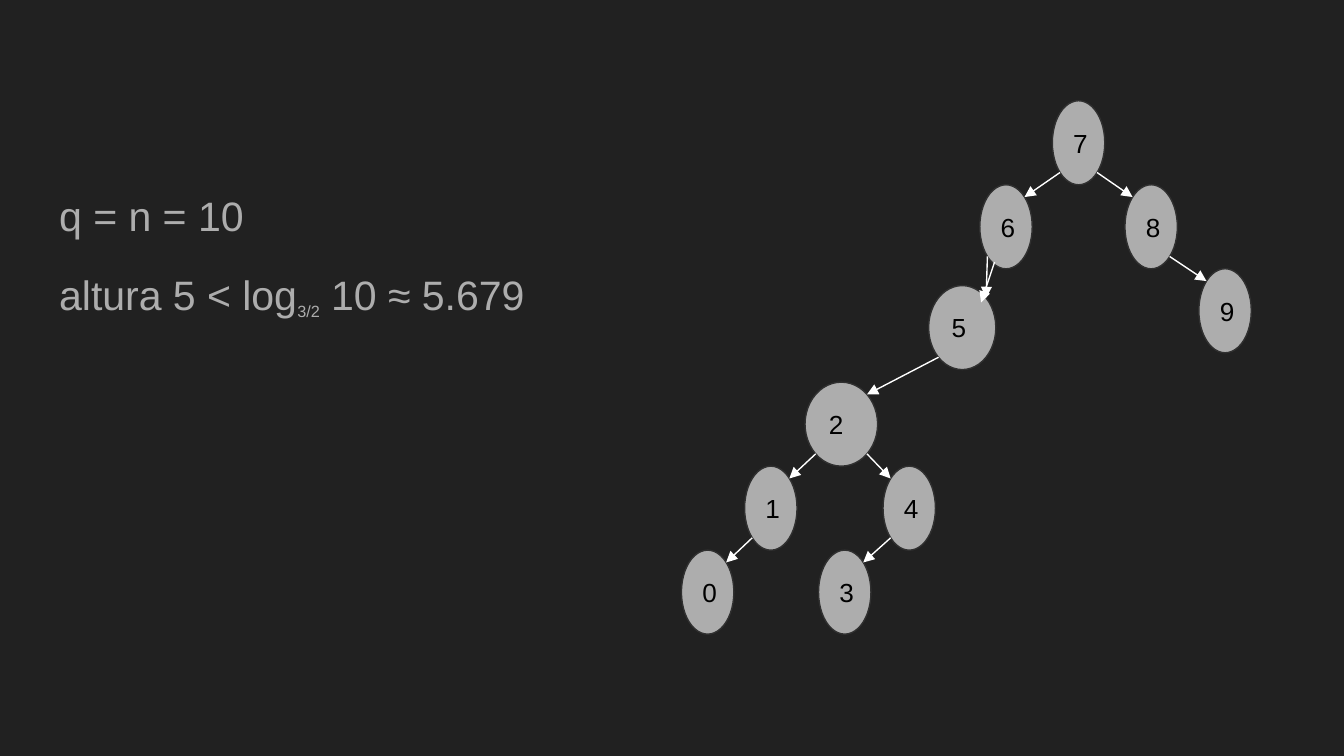
from dataclasses import dataclass

from pptx import Presentation
from pptx.dml.color import RGBColor
from pptx.enum.shapes import MSO_CONNECTOR, MSO_SHAPE
from pptx.enum.text import MSO_ANCHOR, MSO_AUTO_SIZE, PP_ALIGN
from pptx.oxml.ns import qn
from pptx.slide import Slide
from pptx.util import Inches, Pt

WIDTH = 10
HEIGHT = WIDTH * 9 / 16
ROW = HEIGHT / 9  # one tree level
TREE_TOP = 0.75
SITE = 0.5 ** 0.5 / 2  # diagonal point of an ellipse, as a share of its size
BACKGROUND, GREY, OUTLINE, WHITE, BLACK = "212121", "ADADAD", "303030", "FFFFFF", "000000"


@dataclass(frozen=True)
class Node:
    key: str
    left: float  # share of the slide width
    level: float  # rows below the root
    width: float = 0.039  # share of the slide width

    def corner(self, side: int, vertical: int) -> tuple[float, float]:
        """Diagonal point: side -1 left or 1 right, vertical -1 top or 1 bottom."""
        return (WIDTH * (self.left + self.width * (0.5 + side * SITE)),
                TREE_TOP + ROW * (self.level + 0.5 + vertical * SITE))


NODES = [
    Node("7", 0.783, 0), Node("6", 0.729, 1), Node("8", 0.837, 1),
    Node("9", 0.892, 2), Node("5", 0.691, 2.2, 0.05), Node("2", 0.599, 3.35, 0.054),
    Node("4", 0.657, 4.35), Node("1", 0.554, 4.35),
    Node("3", 0.609, 5.35), Node("0", 0.507, 5.35),
]
EDGES = ["76", "78", "89", "65", "52", "21", "24", "43", "10"]  # parent, child


def color(value: str) -> RGBColor:
    return RGBColor.from_string(value)


def apply(target, values: dict) -> None:
    for name, value in values.items():
        setattr(target, name, value)


def style(font, size: float, fill: str) -> None:
    apply(font, {"name": "Arial", "size": Pt(size)})
    font.color.rgb = color(fill)


def set_frame(frame, anchor: MSO_ANCHOR) -> None:
    inset = Inches(0.1)
    apply(frame, {"margin_left": inset, "margin_right": inset, "margin_top": inset,
                  "margin_bottom": inset, "word_wrap": True,
                  "auto_size": MSO_AUTO_SIZE.NONE, "vertical_anchor": anchor})


def draw_node(page: Slide, node: Node) -> None:
    shape = page.shapes.add_shape(
        MSO_SHAPE.OVAL, Inches(node.left * WIDTH), Inches(TREE_TOP + node.level * ROW),
        Inches(node.width * WIDTH), Inches(ROW))
    shape.shadow.inherit = False
    shape.fill.solid()
    shape.fill.fore_color.rgb = color(GREY)
    shape.line.color.rgb = color(OUTLINE)
    shape.line.width = Pt(0.75)
    set_frame(shape.text_frame, MSO_ANCHOR.MIDDLE)
    para = shape.text_frame.paragraphs[0]
    para.alignment = PP_ALIGN.LEFT
    span = para.add_run()
    span.text = node.key
    style(span.font, 14, BLACK)


def draw_arrow(page: Slide, start: tuple[float, float], end: tuple[float, float]) -> None:
    arrow = page.shapes.add_connector(
        MSO_CONNECTOR.STRAIGHT, *(Inches(value) for value in (*start, *end)))
    arrow.line.color.rgb = color(WHITE)
    arrow.line.width = Pt(0.75)
    line = arrow.line._get_or_add_ln()
    line.append(line.makeelement(qn("a:tailEnd"), {"type": "triangle"}))
    properties = arrow._element.spPr
    properties.append(properties.makeelement(qn("a:effectLst"), {}))


def write_body(page: Slide) -> None:
    body = page.placeholders[1]
    apply(body, {"left": Inches(0.34), "top": Inches(1.26),
                 "width": Inches(4.11), "height": Inches(3.74)})
    frame = body.text_frame
    set_frame(frame, MSO_ANCHOR.TOP)
    # Space around each line, then its spans: text, size, baseline shift
    lines = [
        (0, [("q = n = 10", 22, 0)]),
        (12, [("altura 5 < log", 22, 0), ("3/2", 15, -25000), (" 10 ≈ 5.679", 22, 0)]),
    ]
    for index, (space, spans) in enumerate(lines):
        para = frame.add_paragraph() if index else frame.paragraphs[0]
        apply(para, {"line_spacing": 1.15, "space_before": Pt(space),
                     "space_after": Pt(space), "alignment": PP_ALIGN.LEFT})
        properties = para._p.get_or_add_pPr()
        properties.set("marL", "0")
        properties.set("indent", "0")
        properties.append(properties.makeelement(qn("a:buNone"), {}))
        for text, size, shift in spans:
            span = para.add_run()
            span.text = text
            style(span.font, size, GREY)
            if shift:
                span.font._element.set("baseline", str(shift))


def main() -> None:
    deck = Presentation()
    apply(deck, {"slide_width": Inches(WIDTH), "slide_height": Inches(HEIGHT)})
    page = deck.slides.add_slide(deck.slide_layouts[1])
    page.background.fill.solid()
    page.background.fill.fore_color.rgb = color(BACKGROUND)
    title = page.shapes.title._element
    title.getparent().remove(title)

    # Statement on the left
    write_body(page)

    # Search tree on the right
    for node in NODES:
        draw_node(page, node)
    by_key = {node.key: node for node in NODES}
    for parent, child in EDGES:
        side = 1 if child > parent else -1
        draw_arrow(page, by_key[parent].corner(side, 1), by_key[child].corner(-side, -1))
    draw_arrow(page, (7.4, 1.95), (7.3, 2.25))  # second arrow from 6 to 5

    deck.save("out.pptx")


if __name__ == "__main__":
    main()
